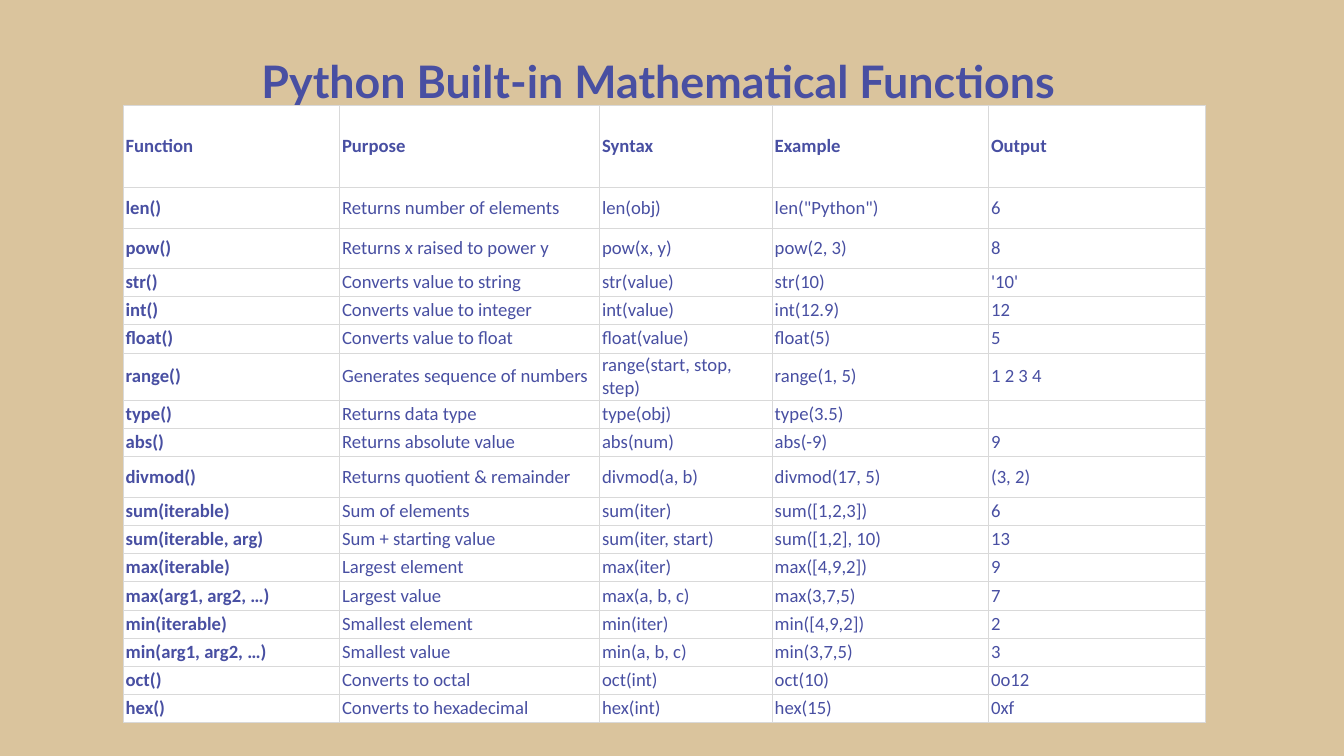
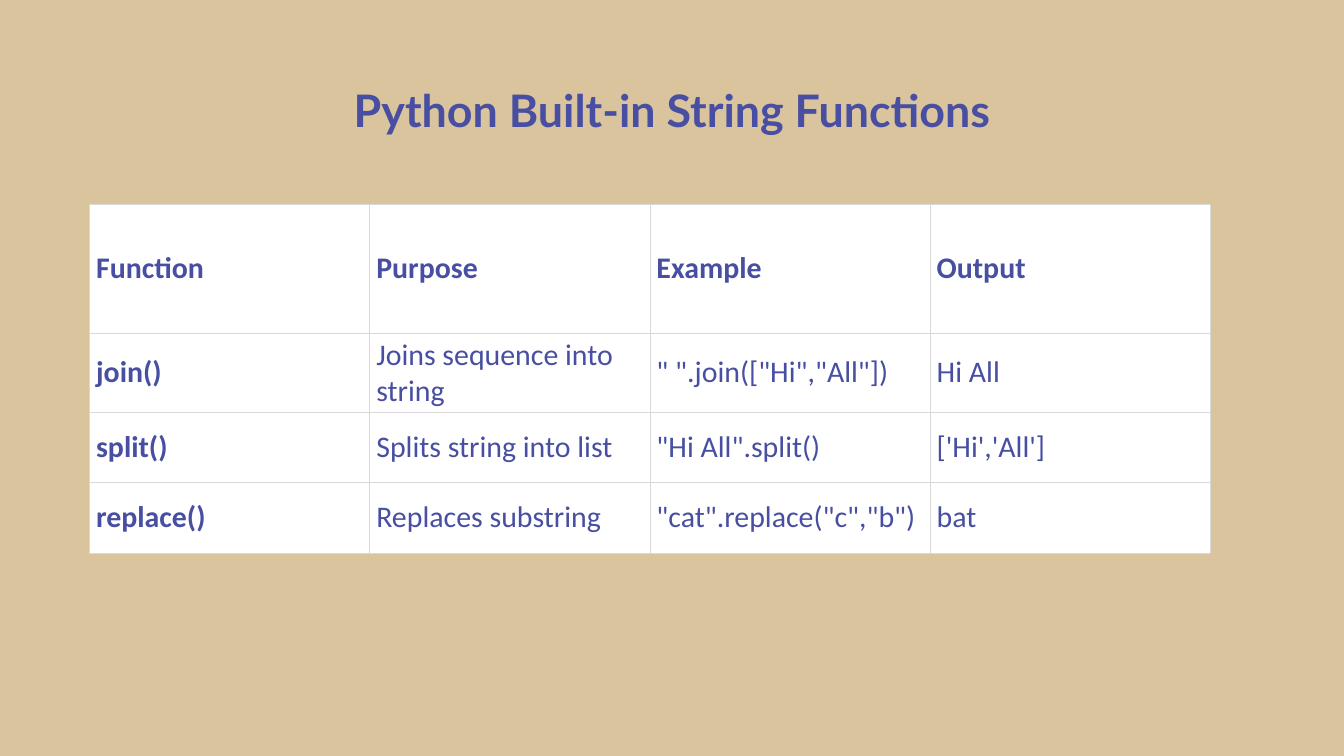
from dataclasses import dataclass

from lxml import etree
from pptx import Presentation
from pptx.dml.color import RGBColor
from pptx.enum import text as en
from pptx.oxml import ns
from pptx.slide import Slide
from pptx.table import _Cell as Cell
from pptx.text.text import TextFrame
from pptx.util import Inches, Pt

SAND, INK, WHITE, GRID = "DAC49D", "484FA2", "FFFFFF", "D9D9D9"
HEAD, BODY = "Lato", "Calibri"
EDGES = ("lnL", "lnR", "lnT", "lnB")

MATH = (
    "Function|Purpose|Syntax|Example|Output",
    'len()|Returns number of elements|len(obj)|len("Python")|6',
    "pow()|Returns x raised to power y|pow(x, y)|pow(2, 3)|8",
    "str()|Converts value to string|str(value)|str(10)|'10'",
    "int()|Converts value to integer|int(value)|int(12.9)|12",
    "float()|Converts value to float|float(value)|float(5)|5",
    "range()|Generates sequence of numbers|range(start, stop, step)|range(1, 5)|1 2 3 4",
    "type()|Returns data type|type(obj)|type(3.5)|",
    "abs()|Returns absolute value|abs(num)|abs(-9)|9",
    "divmod()|Returns quotient & remainder|divmod(a, b)|divmod(17, 5)|(3, 2)",
    "sum(iterable)|Sum of elements|sum(iter)|sum([1,2,3])|6",
    "sum(iterable, arg)|Sum + starting value|sum(iter, start)|sum([1,2], 10)|13",
    "max(iterable)|Largest element|max(iter)|max([4,9,2])|9",
    "max(arg1, arg2, …)|Largest value|max(a, b, c)|max(3,7,5)|7",
    "min(iterable)|Smallest element|min(iter)|min([4,9,2])|2",
    "min(arg1, arg2, …)|Smallest value|min(a, b, c)|min(3,7,5)|3",
    "oct()|Converts to octal|oct(int)|oct(10)|0o12",
    "hex()|Converts to hexadecimal|hex(int)|hex(15)|0xf",
)

STRING = (
    "Function|Purpose|Example|Output",
    'join()|Joins sequence into string|" ".join(["Hi","All"])|Hi All',
    "split()|Splits string into list|\"Hi All\".split()|['Hi','All']",
    'replace()|Replaces substring|"cat".replace("c","b")|bat',
)


@dataclass(frozen=True)
class Title:
    text: str
    left: float
    top: float
    width: float


@dataclass(frozen=True)
class Grid:
    data: tuple[str, ...]
    left: float
    top: float
    cols: tuple[float, ...]
    rows: tuple[float, ...]
    size: int
    pad: tuple[float, float]


def tint(code: str) -> RGBColor:
    return RGBColor.from_string(code)


def write(frame: TextFrame, words: str, *, size: int, font: str = BODY,
          color: str = INK, bold: bool = False, center: bool = False,
          lead: float | None = None) -> None:
    para = frame.paragraphs[0]
    para.alignment = en.PP_ALIGN.CENTER if center else en.PP_ALIGN.LEFT
    if lead:
        para.line_spacing = Pt(lead)
    if words:
        run = para.add_run()
        run.text = words
        run.font.size, run.font.name, run.font.bold = Pt(size), font, bold
        run.font.color.rgb = tint(color)


def frame_cell(cell: Cell, color: str = GRID, width: float = 0.5) -> None:
    props = cell._tc.get_or_add_tcPr()
    for spot, edge in enumerate(EDGES):
        line = etree.Element(ns.qn(f"a:{edge}"), w=str(Pt(width)))
        fill = etree.SubElement(line, ns.qn("a:solidFill"))
        etree.SubElement(fill, ns.qn("a:srgbClr"), val=color)
        props.insert(spot, line)


def draw_title(slide: Slide, title: Title) -> None:
    box = slide.shapes.add_textbox(Inches(title.left), Inches(title.top),
                                   Inches(title.width), Inches(0.97))
    frame = box.text_frame
    frame.word_wrap = True
    frame.auto_size = en.MSO_AUTO_SIZE.SHAPE_TO_FIT_TEXT
    frame.margin_left = frame.margin_right = 0
    frame.margin_top = frame.margin_bottom = 0
    write(frame, title.text, size=48, font=HEAD, bold=True, center=True, lead=72.8)


def draw_grid(slide: Slide, grid: Grid) -> None:
    table = slide.shapes.add_table(
        len(grid.rows), len(grid.cols), Inches(grid.left), Inches(grid.top),
        Inches(sum(grid.cols)), Inches(sum(grid.rows))).table
    table.first_row = table.horz_banding = False
    for col, width in zip(table.columns, grid.cols):
        col.width = Inches(width)
    for row, height in zip(table.rows, grid.rows):
        row.height = Inches(height)
    side, edge = map(Inches, grid.pad)
    for r, line in enumerate(grid.data):
        for c, words in enumerate(line.split("|")):
            cell = table.cell(r, c)
            cell.fill.solid()
            cell.fill.fore_color.rgb = tint(WHITE)
            cell.vertical_anchor = en.MSO_ANCHOR.MIDDLE
            cell.margin_left = cell.margin_right = side
            cell.margin_top = cell.margin_bottom = edge
            frame_cell(cell)
            write(cell.text_frame, words, size=grid.size, bold=r == 0 or c == 0)


def main() -> None:
    deck = Presentation()
    deck.slide_width, deck.slide_height = Inches(20), Inches(11.25)
    low, mid = 0.42, 0.6
    pages = (
        (Title("Python Built-in Mathematical Functions", 2.77, 0.59, 14.05),
         Grid(MATH, 1.83, 1.56, (3.22, 3.87, 2.57, 3.22, 3.22),
              (1.23, mid, mid, *[low] * 3, mid, low, low, mid, *[low] * 8),
              20, (0.04, 0.02))),
        (Title("Python Built-in String Functions", 4.35, 1.02, 11.3),
         Grid(STRING, 1.33, 3.04, (4.17,) * 4, (1.92, *[1.05] * 3),
              32, (0.1, 0.05))),
    )
    for title, grid in pages:
        slide = deck.slides.add_slide(deck.slide_layouts[6])
        slide.background.fill.solid()
        slide.background.fill.fore_color.rgb = tint(SAND)
        draw_title(slide, title)
        draw_grid(slide, grid)
    deck.save("out.pptx")


if __name__ == "__main__":
    main()
